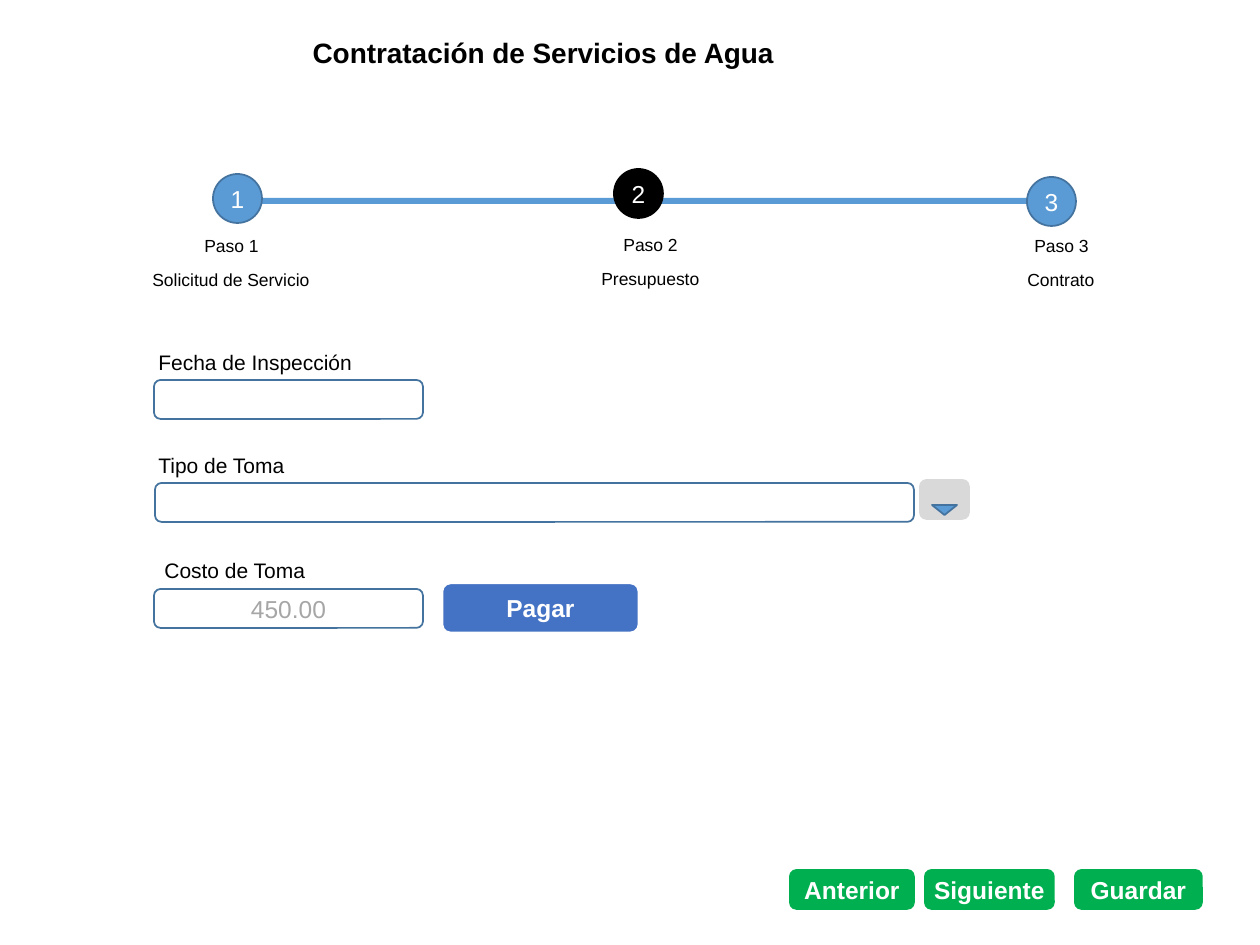
import pptx
import pptx.util
import pptx.dml.color
import pptx.enum.shapes
import pptx.enum.text

RGB = pptx.dml.color.RGBColor
SHAPE = pptx.enum.shapes.MSO_SHAPE
ANCHOR = pptx.enum.text.MSO_ANCHOR
ALIGN = pptx.enum.text.PP_ALIGN
PX = 914400 // 126

BLACK = RGB(0x00, 0x00, 0x00)
WHITE = RGB(0xFF, 0xFF, 0xFF)
BLUE = RGB(0x5B, 0x9B, 0xD5)
OUTLINE = RGB(0x43, 0x73, 0x9E)
PAY_BLUE = RGB(0x44, 0x72, 0xC4)
GREEN = RGB(0x00, 0xB0, 0x50)
LIGHT_GRAY = RGB(0xD9, 0xD9, 0xD9)
TEXT_GRAY = RGB(0xA6, 0xA6, 0xA6)

prs = pptx.Presentation()
prs.slide_width = 1260 * PX
prs.slide_height = 945 * PX
s = prs.slides.add_slide(prs.slide_layouts[5])


def add_shape(parent, kind, box, fill, line, text="", color=WHITE, bold=False, width=1):
    sp = parent.add_shape(kind, *[v * PX for v in box])
    sp.shadow.inherit = False
    if fill is None:
        sp.fill.background()
    else:
        sp.fill.solid()
        sp.fill.fore_color.rgb = fill
    if line is None:
        sp.line.fill.background()
    else:
        sp.line.color.rgb = line
        sp.line.width = pptx.util.Pt(width)
    if text:
        tf = sp.text_frame
        tf.margin_left = tf.margin_right = tf.margin_top = tf.margin_bottom = 0
        tf.word_wrap = False
        tf.vertical_anchor = ANCHOR.MIDDLE
        write(tf, text, 14, color, bold, ALIGN.CENTER)
    return sp


def write(tf, text, size, color=BLACK, bold=False, align=ALIGN.LEFT):
    tf.text = text
    p = tf.paragraphs[0]
    p.alignment = align
    p.font.name = "Arial"
    p.font.size = pptx.util.Pt(size)
    p.font.bold = bold
    p.font.color.rgb = color


# Title
title = s.shapes.title
title.left, title.top, title.width, title.height = [v * PX for v in (300, 29, 493, 47)]
tf = title.text_frame
write(tf, "Contratación de Servicios de Agua", 16, bold=True)
tf.word_wrap = False
tf.auto_size = pptx.enum.text.MSO_AUTO_SIZE.NONE
tf.vertical_anchor = ANCHOR.TOP

# Progress bar and numbered steps
add_shape(s.shapes, SHAPE.RECTANGLE, (227, 198, 824, 6), BLUE, None)
steps = [
    ("1", 213, 174, BLUE, OUTLINE),
    ("2", 614, 169, BLACK, BLACK),
    ("3", 1027, 177, BLUE, OUTLINE),
]
for number, x, y, fill, line in steps:
    add_shape(s.shapes, SHAPE.OVAL, (x, y, 49, 49), fill, line, number)

# Step captions and field labels
labels = [
    ("Paso 1", 192, 229, 79, 10),
    ("Solicitud de Servicio", 140, 263, 184, 10),
    ("Paso 2", 611, 228, 79, 10),
    ("Presupuesto", 589, 262, 123, 10),
    ("Paso 3", 1022, 229, 79, 10),
    ("Contrato", 1015, 263, 93, 10),
    ("Fecha de Inspección", 146, 343, 220, 12),
    ("Tipo de Toma", 146, 446, 152, 12),
    ("Costo de Toma", 152, 551, 168, 12),
]
for text, x, y, w, size in labels:
    h = 34 if size == 10 else 38
    tb = s.shapes.add_textbox(x * PX, y * PX, w * PX, h * PX)
    tb.text_frame.word_wrap = False
    write(tb.text_frame, text, size)

# Input fields
fields = [
    ("", 154, 380, 269),
    ("", 155, 483, 759),
    ("450.00", 154, 589, 269),
]
for text, x, y, w in fields:
    add_shape(s.shapes, SHAPE.ROUNDED_RECTANGLE, (x, y, w, 39), None, OUTLINE, text, TEXT_GRAY)

# Drop-down button
dropdown = s.shapes.add_group_shape().shapes
add_shape(dropdown, SHAPE.ROUNDED_RECTANGLE, (920, 480, 49, 39), LIGHT_GRAY, LIGHT_GRAY)
arrow = add_shape(dropdown, SHAPE.ISOSCELES_TRIANGLE, (932, 505, 25, 10), BLUE, OUTLINE)
arrow.rotation = 180

# Buttons
add_shape(s.shapes, SHAPE.ROUNDED_RECTANGLE, (442, 583, 197, 50), PAY_BLUE, WHITE,
          "Pagar", bold=True, width=1.5)
for text, x, w in [("Anterior", 790, 124), ("Siguiente", 925, 129), ("Guardar", 1075, 127)]:
    add_shape(s.shapes, SHAPE.ROUNDED_RECTANGLE, (x, 870, w, 39), GREEN, GREEN, text, bold=True)

prs.save("out.pptx")
